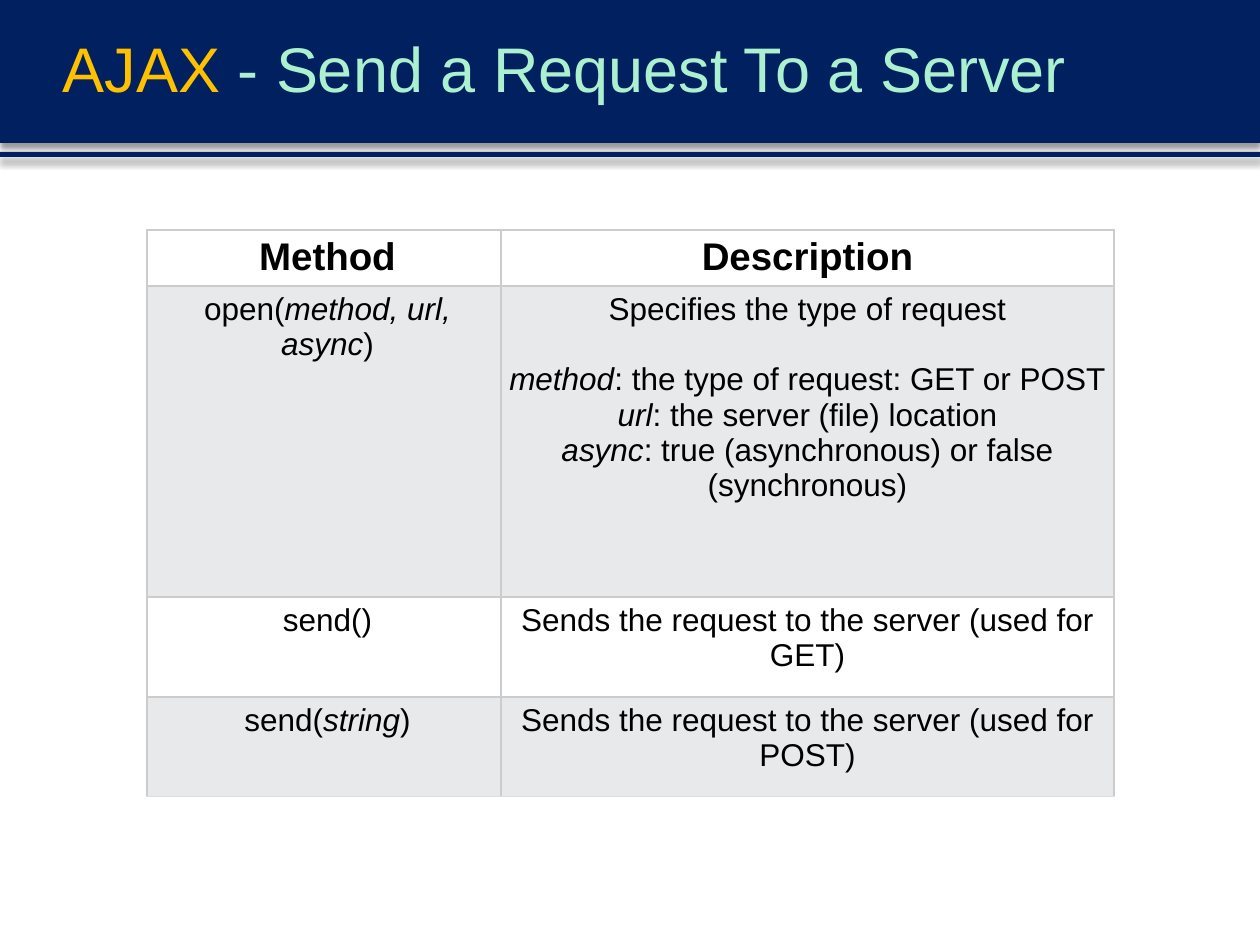
from pptx import Presentation
from pptx.dml.color import RGBColor
from pptx.enum.shapes import MSO_SHAPE
from pptx.enum.text import MSO_ANCHOR, MSO_AUTO_SIZE, PP_ALIGN
from pptx.oxml import parse_xml
from pptx.oxml.ns import nsdecls
from pptx.util import Pt

SCALE = 914400 // 126  # EMU per px
NAVY = RGBColor(0x00, 0x20, 0x60)
AMBER = RGBColor(0xFF, 0xC0, 0x00)
MINT = RGBColor(0xAB, 0xF1, 0xCF)
BLACK = RGBColor(0x00, 0x00, 0x00)
WHITE = RGBColor(0xFF, 0xFF, 0xFF)
BAND = RGBColor(0xE7, 0xE9, 0xEB)
GRID = RGBColor(0xCC, 0xCC, 0xCC)
LAST_EDGE = RGBColor(0xDD, 0xDD, 0xDD)
FONT = "Arial"

COLUMNS = [354, 613]
ROWS = [53, 311, 100, 100]
# Each cell is a list of paragraphs; asterisks enclose italic text
CELLS = [
    [["Method"], ["Description"]],
    [["open(*method, url, async*)"],
     ["Specifies the type of request",
      "*method*: the type of request: GET or POST",
      "*url*: the server (file) location",
      "*async*: true (asynchronous) or false (synchronous)"]],
    [["send()"], ["Sends the request to the server (used for GET)"]],
    [["send(*string*)"], ["Sends the request to the server (used for POST)"]],
]


def px(*lengths):
    return [length * SCALE for length in lengths]


def add_bar(slide, top, height):
    bar = slide.shapes.add_shape(MSO_SHAPE.RECTANGLE, *px(0, top, 1260, height))
    bar.fill.solid()
    bar.fill.fore_color.rgb = NAVY
    bar.line.fill.background()
    bar._element.spPr.append(parse_xml(
        f'<a:effectLst {nsdecls("a")}><a:outerShdw blurRad="{Pt(4)}" dist="{Pt(3)}" '
        'dir="5400000" rotWithShape="0"><a:srgbClr val="000000"><a:alpha val="40000"/>'
        '</a:srgbClr></a:outerShdw></a:effectLst>'))


def add_title(slide, parts):
    title = slide.shapes.title
    title.left, title.top, title.width, title.height = px(50, 1, 1210, 143)
    slide.shapes._spTree.append(title._element)  # in front of the bars
    frame = title.text_frame
    frame.auto_size = MSO_AUTO_SIZE.NONE
    frame.vertical_anchor = MSO_ANCHOR.MIDDLE
    paragraph = frame.paragraphs[0]
    paragraph.alignment = PP_ALIGN.LEFT
    paragraph.line_spacing = 0.9
    paragraph.font.name, paragraph.font.size = FONT, Pt(36)
    for text, color in parts:
        run = paragraph.add_run()
        run.text = text
        run.font.color.rgb = color


def set_borders(cell, bottom):
    properties = cell._tc.get_or_add_tcPr()
    for side, color in zip("LRTB", (GRID, GRID, GRID, bottom)):
        properties.append(parse_xml(
            f'<a:ln{side} {nsdecls("a")} w="{Pt(0.75)}"><a:solidFill>'
            f'<a:srgbClr val="{color}"/></a:solidFill></a:ln{side}>'))


def fill_cell(cell, texts, header):
    frame = cell.text_frame
    for index, text in enumerate(texts):
        paragraph = frame.paragraphs[0] if index == 0 else frame.add_paragraph()
        paragraph.alignment = PP_ALIGN.CENTER
        if index == 1:
            paragraph.space_before = Pt(20)
        font = paragraph.font
        font.name, font.size, font.bold = FONT, Pt(22 if header else 18), header
        font.color.rgb = BLACK
        for position, piece in enumerate(text.split("*")):
            if piece:
                run = paragraph.add_run()
                run.text = piece
                run.font.italic = position % 2 == 1


def add_method_table(slide):
    table = slide.shapes.add_table(
        len(ROWS), len(COLUMNS), *px(147, 230, sum(COLUMNS), sum(ROWS))).table
    table.first_row = table.horz_banding = False
    for column, width in zip(table.columns, px(*COLUMNS)):
        column.width = width
    for row, height in zip(table.rows, px(*ROWS)):
        row.height = height
    for r, contents in enumerate(CELLS):
        for c, texts in enumerate(contents):
            cell = table.cell(r, c)
            (cell.margin_left, cell.margin_right,
             cell.margin_top, cell.margin_bottom) = px(14 if c == 0 else 7, 7, 6, 7)
            set_borders(cell, LAST_EDGE if r == len(ROWS) - 1 else GRID)
            cell.fill.solid()
            cell.fill.fore_color.rgb = BAND if r % 2 else WHITE
            fill_cell(cell, texts, header=r == 0)


def main():
    presentation = Presentation()
    presentation.slide_width, presentation.slide_height = px(1260, 945)
    slide = presentation.slides.add_slide(presentation.slide_layouts[5])

    # Header band with its rule
    add_bar(slide, 0, 143)
    add_bar(slide, 152, 5)
    add_title(slide, [("AJAX", AMBER), (" - Send a Request To a Server", MINT)])

    # Methods and what they do
    add_method_table(slide)
    presentation.save("out.pptx")


if __name__ == "__main__":
    main()
